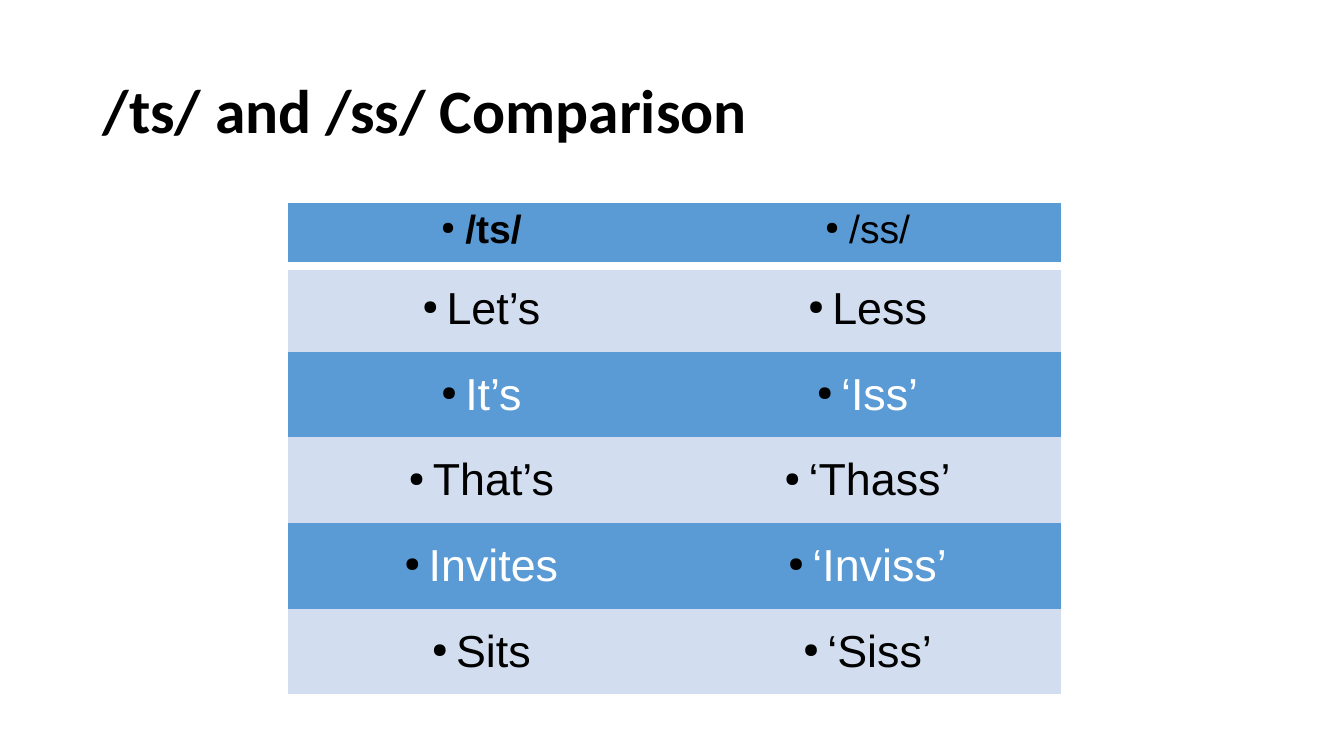
from dataclasses import dataclass

import lxml.etree
import pptx
import pptx.dml.color
import pptx.enum.text
import pptx.oxml.ns
import pptx.util

EMU_PER_PX = 9144  # 100 px to the inch
COLOURS = {"black": "000000", "white": "FFFFFF", "blue": "5B9BD5", "pale": "D2DEEF"}
PLAIN_TABLE_STYLE = "{2D5ABB26-0587-4C30-8999-92F81FD0307C}"
COLUMN_WIDTH, HEADER_HEIGHT, ROW_HEIGHT = 383, 63, 85
BULLET_INDENT = 24

TITLE_FORMAT = {"name": "Calibri", "size": pptx.util.Pt(44), "bold": True}
HEADER_FORMAT = {"name": "Arial", "size": pptx.util.Pt(28)}
WORD_FORMAT = {"name": "Arial", "size": pptx.util.Pt(32), "bold": False}


@dataclass
class WordPair:
    ts: str
    ss: str
    fill: str = "pale"
    ink: str = "black"


HEADER = WordPair("/ts/", "/ss/", "blue")
WORDS = [
    WordPair("Let’s", "Less"),
    WordPair("It’s", "‘Iss’", "blue", "white"),
    WordPair("That’s", "‘Thass’"),
    WordPair("Invites", "‘Inviss’", "blue", "white"),
    WordPair("Sits", "‘Siss’"),
]


def px(length: int) -> int:
    return pptx.util.Emu(length * EMU_PER_PX)


def rgb(name: str) -> pptx.dml.color.RGBColor:
    return pptx.dml.color.RGBColor.from_string(COLOURS[name])


def add_child(parent, tag: str, **attributes: str):
    return lxml.etree.SubElement(parent, pptx.oxml.ns.qn(tag), **attributes)


def write(para, text: str, ink: str, formats: dict) -> None:
    span = para.add_run()
    span.text = text
    for name, value in formats.items():
        setattr(span.font, name, value)
    span.font.color.rgb = rgb(ink)


def add_bullet(para) -> None:
    properties = para._p.get_or_add_pPr()
    properties.set("marL", str(px(BULLET_INDENT)))
    properties.set("indent", str(-px(BULLET_INDENT)))
    colour = add_child(properties, "a:buClr")
    add_child(colour, "a:srgbClr", val=COLOURS["black"])
    add_child(properties, "a:buSzPct", val="45000")
    add_child(properties, "a:buChar", char="●")


def add_bottom_border(cell, colour: str, points: int) -> None:
    properties = cell._tc.get_or_add_tcPr()
    border = add_child(properties, "a:lnB", w=str(pptx.util.Pt(points)))
    fill = add_child(border, "a:solidFill")
    add_child(fill, "a:srgbClr", val=COLOURS[colour])
    properties.insert(0, border)


def fill_cell(cell, text: str, pair: WordPair, formats: dict) -> None:
    cell.fill.solid()
    cell.fill.fore_color.rgb = rgb(pair.fill)
    para = cell.text_frame.paragraphs[0]
    para.alignment = pptx.enum.text.PP_ALIGN.CENTER
    add_bullet(para)
    write(para, text, pair.ink, formats)


def add_title(page) -> None:
    box = page.shapes.add_textbox(px(92), px(40), px(1150), px(145))
    frame = box.text_frame
    frame.word_wrap = True
    frame.vertical_anchor = pptx.enum.text.MSO_ANCHOR.MIDDLE
    para = frame.paragraphs[0]
    para.line_spacing = 0.9
    write(para, "/ts/ and /ss/ Comparison", "black", TITLE_FORMAT)


def add_word_table(page) -> None:
    height = HEADER_HEIGHT + ROW_HEIGHT * len(WORDS)
    table = page.shapes.add_table(
        len(WORDS) + 1, 2, px(286), px(201), px(2 * COLUMN_WIDTH), px(height)
    ).table
    table.horz_banding = False
    table._tbl.tblPr.find(pptx.oxml.ns.qn("a:tableStyleId")).text = PLAIN_TABLE_STYLE
    for column in table.columns:
        column.width = px(COLUMN_WIDTH)

    # Header row
    table.rows[0].height = px(HEADER_HEIGHT)
    for index, text in enumerate((HEADER.ts, HEADER.ss)):
        cell = table.cell(0, index)
        fill_cell(cell, text, HEADER, {**HEADER_FORMAT, "bold": index == 0})
        add_bottom_border(cell, "white", 6)

    # Word rows
    for row, pair in enumerate(WORDS, start=1):
        table.rows[row].height = px(ROW_HEIGHT)
        for index, text in enumerate((pair.ts, pair.ss)):
            cell = table.cell(row, index)
            cell.vertical_anchor = pptx.enum.text.MSO_ANCHOR.MIDDLE
            fill_cell(cell, text, pair, WORD_FORMAT)


def main() -> None:
    deck = pptx.Presentation()
    deck.slide_width, deck.slide_height = px(1333), px(750)
    page = deck.slides.add_slide(deck.slide_layouts[6])
    add_title(page)
    add_word_table(page)
    deck.save("out.pptx")


if __name__ == "__main__":
    main()
